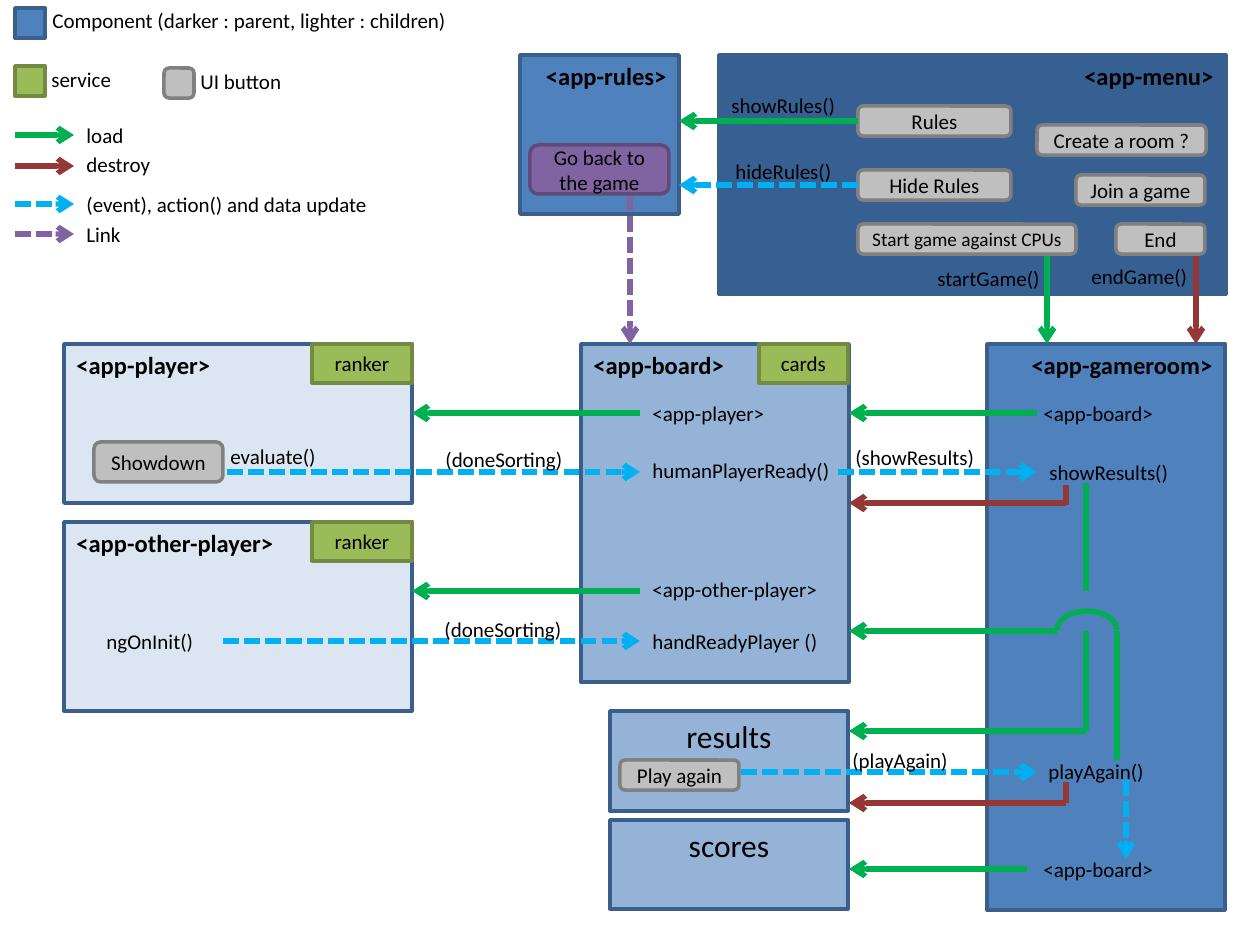
from lxml import etree
from pptx import Presentation
from pptx import util as u
from pptx.dml.color import RGBColor
from pptx.enum import dml, shapes, text
from pptx.oxml.ns import qn

SCALE = 914400 / 126
FONT = "Calibri"
C = {
    "parent": "376092", "main": "4F81BD", "child": "95B3D7", "leaf": "DCE6F2",
    "panel_edge": "3A5F8C", "service": "9BBB59", "service_edge": "738A42",
    "button": "BFBFBF", "button_edge": "808080", "link": "8064A2",
    "link_edge": "5F4A78", "load": "00B050", "destroy": "953735",
    "event": "00B0F0", "text": "000000",
}
DASHED = ("event", "link")
RECT = shapes.MSO_SHAPE.RECTANGLE
ROUND = shapes.MSO_SHAPE.ROUNDED_RECTANGLE
LEFT, CENTER, RIGHT = text.PP_ALIGN.LEFT, text.PP_ALIGN.CENTER, text.PP_ALIGN.RIGHT
TOP, MIDDLE = text.MSO_ANCHOR.TOP, text.MSO_ANCHOR.MIDDLE

PANELS = [
    ("<app-gameroom>", 987, 344, 238, 566, "main", RIGHT),
    ("<app-menu>", 719, 55, 507, 239, "parent", RIGHT),
    ("<app-rules>", 520, 55, 159, 159, "main", RIGHT),
    ("<app-board>", 581, 344, 268, 338, "child", LEFT),
    ("<app-player>", 64, 344, 348, 159, "leaf", LEFT),
    ("<app-other-player>", 64, 522, 348, 189, "leaf", LEFT),
]
PAGES = [("results", 711, 100), ("scores", 820, 89)]
SERVICES = [("ranker", 312, 344, 100), ("cards", 759, 344, 89), ("ranker", 312, 522, 100)]
BUTTONS = [
    ("Rules", 858, 106, 153, 30), ("Hide Rules", 858, 170, 153, 30),
    ("Create a room ?", 1037, 125, 169, 30), ("Join a game", 1076, 175, 129, 30),
    ("End", 1116, 224, 89, 30), ("Showdown", 94, 442, 129, 40),
    ("Play again", 620, 760, 119, 30),
]
LINES = [
    ("load", 1047, 254, 1047, 344), ("destroy", 1196, 254, 1196, 344),
    ("link", 630, 195, 630, 344),
    ("load", 1037, 413, 849, 413), ("load", 640, 413, 412, 413),
    ("load", 640, 591, 412, 591), ("load", 1027, 869, 849, 869),
    ("load", 1086, 731, 849, 731), ("load", 1057, 631, 849, 631),
    ("event", 164, 472, 640, 472), ("event", 838, 472, 1037, 472),
    ("event", 223, 641, 640, 641), ("event", 699, 772, 1037, 772),
    ("event", 1126, 780, 1126, 859),
    ("destroy", 1066, 503, 849, 503), ("destroy", 1066, 803, 849, 803),
]
PLAIN_LINES = [
    ("load", 1086, 483, 1086, 591), ("load", 1086, 631, 1086, 731),
    ("load", 1117, 631, 1117, 760),
    ("destroy", 1066, 485, 1066, 505), ("destroy", 1066, 782, 1066, 803),
]
LEGEND = [
    ("load", "load", 135, 116, 68), ("destroy", "destroy", 166, 145, 89),
    ("event", "(event), action() and data update", 204, 185, 309),
    ("link", "Link", 234, 215, 60),
]
LABELS = [
    ("Component (darker : parent, lighter : children)", 40, 1, 422),
    ("service", 39, 60, 86), ("UI button", 188, 62, 107),
    ("startGame()", 925, 259, 128), ("endGame()", 1079, 257, 122),
    ("showRules()", 719, 86, 131), ("hideRules()", 723, 152, 122),
    ("<app-board>", 1031, 394, 136), ("<app-player>", 640, 394, 139),
    ("<app-other-player>", 640, 570, 191), ("(doneSorting)", 433, 440, 144),
    ("evaluate()", 218, 437, 111), ("humanPlayerReady()", 640, 451, 204),
    ("handReadyPlayer ()", 640, 622, 191), ("(doneSorting)", 432, 610, 144),
    ("ngOnInit()", 94, 622, 117), ("(showResults)", 843, 438, 146),
    ("showResults()", 1037, 453, 146), ("(playAgain)", 840, 741, 121),
    ("playAgain()", 1036, 752, 121), ("<app-board>", 1031, 850, 136),
]


def px(n):
    return u.Emu(round(n * SCALE))


def rgb(name):
    return RGBColor.from_string(C[name])


def write(sp, words, size=12, align=LEFT, anchor=TOP, bold=False, wrap=True):
    tf = sp.text_frame
    tf.word_wrap = wrap
    tf.vertical_anchor = anchor
    p = tf.paragraphs[0]
    p.text = words
    p.alignment = align
    p.font.name = FONT
    p.font.size = u.Pt(size)
    p.font.bold = bold
    p.font.color.rgb = rgb("text")


def box(s, kind, x, y, w, h, fill, edge):
    sp = s.shapes.add_shape(kind, px(x), px(y), px(w), px(h))
    sp.shadow.inherit = False
    sp.fill.solid()
    sp.fill.fore_color.rgb = rgb(fill)
    sp.line.color.rgb = rgb(edge)
    sp.line.width = u.Pt(2)
    return sp


def button(s, words, x, y, w, h, fill="button", size=12):
    sp = box(s, ROUND, x, y, w, h, fill, fill + "_edge")
    write(sp, words, size, CENTER, MIDDLE)
    return sp


def label(s, words, x, y, w):
    sp = s.shapes.add_textbox(px(x), px(y), px(w), px(38))
    write(sp, words, wrap=False)


def line(s, kind, x1, y1, x2, y2, arrow=True):
    cx = s.shapes.add_connector(shapes.MSO_CONNECTOR.STRAIGHT, px(x1), px(y1), px(x2), px(y2))
    cx.line.color.rgb = rgb(kind)
    cx.line.width = u.Pt(3)
    if kind in DASHED:
        cx.line.dash_style = dml.MSO_LINE.SQUARE_DOT
    if arrow:
        etree.SubElement(cx.line._get_or_add_ln(), qn("a:tailEnd"), type="arrow")
    etree.SubElement(cx._element.spPr, qn("a:effectLst"))
    return cx


def bridge(s, x, y, w, h):
    sp = s.shapes.add_shape(shapes.MSO_SHAPE.ARC, px(x), px(y), px(w), px(h))
    sp.shadow.inherit = False
    sp.adjustments[0] = 108.9
    sp.adjustments[1] = 215.5
    sp.fill.background()
    sp.line.color.rgb = rgb("load")
    sp.line.width = u.Pt(3)


def main():
    prs = Presentation()
    prs.slide_width, prs.slide_height = px(1260), px(945)
    s = prs.slides.add_slide(prs.slide_layouts[6])

    for words, x, y, w, h, fill, align in PANELS:
        write(box(s, RECT, x, y, w, h, fill, "panel_edge"), words, 14, align, bold=True)
    for words, y, h in PAGES:
        write(box(s, RECT, 610, y, 238, h, "child", "panel_edge"), words, 18, CENTER)
    for words, x, y, w in SERVICES:
        write(box(s, RECT, x, y, w, 39, "service", "service_edge"), words, align=CENTER)

    box(s, RECT, 15, 8, 30, 30, "main", "panel_edge")
    box(s, RECT, 15, 66, 30, 30, "service", "service_edge")
    box(s, ROUND, 164, 68, 30, 30, "button", "button_edge")
    for kind, words, y, top, w in LEGEND:
        line(s, kind, 15, y, 74, y)
        label(s, words, 74, top, w)

    for item in LINES:
        line(s, *item)
    for item in PLAIN_LINES:
        line(s, *item, arrow=False)
    bridge(s, 1057, 611, 60, 39)

    buttons = {item[0]: button(s, *item) for item in BUTTONS}
    button(s, "Start game against CPUs", 858, 224, 218, 30, size=11)
    button(s, "Go back to the game", 530, 145, 139, 49, fill="link")
    for name, kind, y in (("Rules", "load", 121), ("Hide Rules", "event", 185)):
        line(s, kind, 858, y, 679, y).begin_connect(buttons[name], 1)

    for item in LABELS:
        label(s, *item)
    prs.save("out.pptx")


if __name__ == "__main__":
    main()
